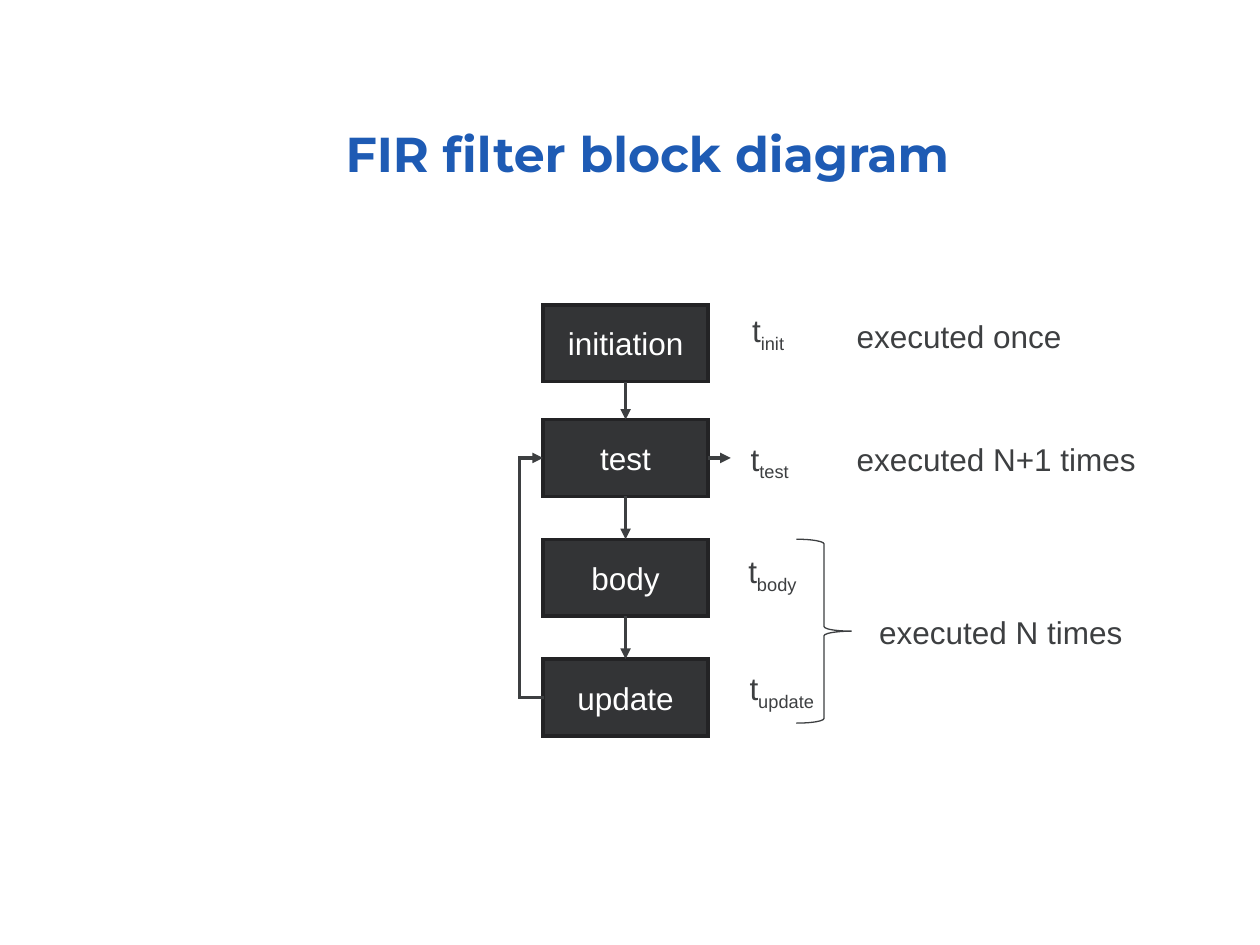
from lxml.etree import SubElement
from pptx import Presentation
from pptx.dml.color import RGBColor
from pptx.enum.shapes import MSO_CONNECTOR, MSO_SHAPE
from pptx.enum.text import MSO_ANCHOR, MSO_AUTO_SIZE, PP_ALIGN
from pptx.oxml.ns import qn
from pptx.util import Inches, Pt

BLUE = RGBColor(0x1E, 0x5B, 0xB4)
DARK = RGBColor(0x33, 0x34, 0x36)
EDGE = RGBColor(0x23, 0x23, 0x25)
GRAY = RGBColor(0x3D, 0x3F, 0x41)
WHITE = RGBColor(0xFF, 0xFF, 0xFF)

TITLE = "FIR filter block diagram"
STEPS = [("initiation", 2.42), ("test", 3.33), ("body", 4.28), ("update", 5.23)]
TIMES = [("init", 5.87, 2.42, 0.45), ("test", 5.86, 3.44, 0.5),
         ("body", 5.84, 4.33, 0.58), ("update", 5.85, 5.26, 0.71)]
COUNTS = [("executed once", 6.7, 2.47, 1.82),
          ("executed N+1 times", 6.7, 3.44, 2.41),
          ("executed N times", 6.88, 4.82, 2.13)]

LEFT, WIDTH, HEIGHT = 4.31, 1.31, 0.61
RIGHT, MID = LEFT + WIDTH, LEFT + WIDTH / 2
LOOP, STUB = 0.19, 0.01

BODY = {"name": "Arial", "size": Pt(18)}
HEAD = {"name": "Montserrat", "size": Pt(28), "bold": True}
# No right margin: each line has room to stay whole.
LABEL = {"word_wrap": True, "auto_size": MSO_AUTO_SIZE.NONE, "margin_right": 0}


def add_run(para, text, color, form):
    run = para.add_run()
    run.text = text
    for key, value in form.items():
        setattr(run.font, key, value)
    run.font.color.rgb = color
    return run


def set_line(shape, color, width):
    """Give a shape a solid line with sharp corners; return its element."""
    shape.line.color.rgb = color
    shape.line.width = Pt(width)
    edge = shape.line._get_or_add_ln()
    SubElement(edge, qn("a:miter"), lim="800000")
    return edge


def add_label(slide, text, x, y, w, h, sub=""):
    """Add a one-line text box, with an optional subscript."""
    box = slide.shapes.add_textbox(Inches(x), Inches(y), Inches(w), Inches(h))
    frame = box.text_frame
    for key, value in LABEL.items():
        setattr(frame, key, value)
    para = frame.paragraphs[0]
    add_run(para, text, GRAY, BODY)
    if sub:
        run = add_run(para, sub, GRAY, BODY)
        run.font._element.set("baseline", "-25000")


def add_step(slide, text, y):
    box = slide.shapes.add_shape(MSO_SHAPE.RECTANGLE, Inches(LEFT), Inches(y),
                                 Inches(WIDTH), Inches(HEIGHT))
    box.shadow.inherit = False
    box.fill.solid()
    box.fill.fore_color.rgb = DARK
    set_line(box, EDGE, 2)
    frame = box.text_frame
    frame.vertical_anchor = MSO_ANCHOR.MIDDLE
    para = frame.paragraphs[0]
    para.alignment = PP_ALIGN.CENTER
    add_run(para, text, WHITE, BODY)


def add_arrow(slide, start, end, kind=MSO_CONNECTOR.STRAIGHT):
    line = slide.shapes.add_connector(kind, *map(Inches, start + end))
    edge = set_line(line, GRAY, 2)
    SubElement(edge, qn("a:tailEnd"), type="triangle")
    SubElement(line._element.spPr, qn("a:effectLst"))
    return line


def add_title(slide):
    box = slide.shapes.add_textbox(Inches(1.25), Inches(0.25),
                                   Inches(6.38), Inches(1.25))
    frame = box.text_frame
    frame.word_wrap = True
    frame.vertical_anchor = MSO_ANCHOR.BOTTOM
    para = frame.paragraphs[0]
    para.alignment = PP_ALIGN.RIGHT
    para.line_spacing = 0.9
    add_run(para, TITLE, BLUE, HEAD)


def add_loop(slide):
    """Lead back from the last step to the test, round the left side."""
    low, high = (STEPS[i][1] + HEIGHT / 2 for i in (3, 1))
    loop = add_arrow(slide, (LEFT + STUB, low), (LEFT, high),
                     MSO_CONNECTOR.ELBOW)
    guides = loop._element.spPr.find(qn("a:prstGeom")).find(qn("a:avLst"))
    bend = round((LOOP + STUB) / STUB * 100000)
    SubElement(guides, qn("a:gd"), name="adj1", fmla=f"val {bend}")


def add_brace(slide):
    brace = slide.shapes.add_shape(MSO_SHAPE.RIGHT_BRACE, Inches(6.32),
                                   Inches(4.28), Inches(0.44), Inches(1.46))
    brace.shadow.inherit = False
    brace.fill.background()
    set_line(brace, GRAY, 0.75)


def main():
    deck = Presentation()
    deck.slide_width, deck.slide_height = Inches(10), Inches(7.5)
    slide = deck.slides.add_slide(deck.slide_layouts[6])
    add_title(slide)
    for text, y in STEPS:
        add_step(slide, text, y)
    for (_, top), (_, low) in zip(STEPS, STEPS[1:]):
        add_arrow(slide, (MID, top + HEIGHT), (MID, low))
    add_loop(slide)
    for sub, x, y, w in TIMES:
        add_label(slide, "t", x, y, w, 0.44, sub)
    for text, x, y, w in COUNTS:
        add_label(slide, text, x, y, w, 0.4)
    add_brace(slide)
    exit_y = STEPS[1][1] + HEIGHT / 2
    add_arrow(slide, (RIGHT, exit_y), (RIGHT + 0.18, exit_y))
    deck.save("out.pptx")


if __name__ == "__main__":
    main()
